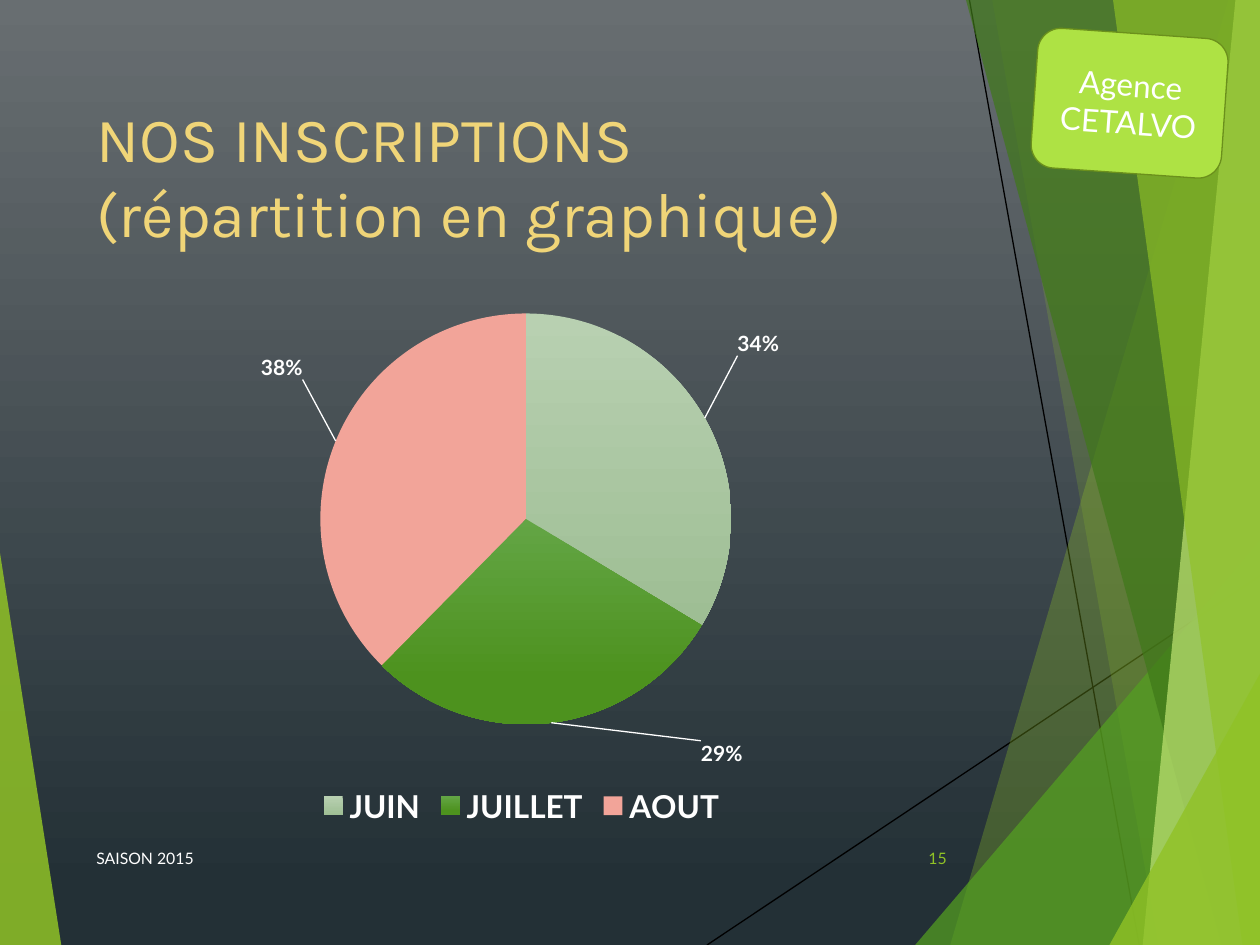
from copy import deepcopy

from lxml.etree import SubElement
from pptx import Presentation
from pptx.chart.data import CategoryChartData
from pptx.dml.color import RGBColor
from pptx.enum.chart import XL_CHART_TYPE as ChartType
from pptx.enum.chart import XL_LABEL_POSITION as LabelPos
from pptx.enum.chart import XL_LEGEND_POSITION as LegendPos
from pptx.enum.shapes import MSO_CONNECTOR as Connector
from pptx.enum.shapes import MSO_SHAPE as Shape
from pptx.enum.text import MSO_ANCHOR as Anchor
from pptx.enum.text import PP_ALIGN as Align
from pptx.oxml import parse_xml
from pptx.oxml.ns import nsdecls, qn
from pptx.util import Pt

COLORS = {
    "sky": "686E71", "night": "233036", "white": "FFFFFF", "black": "000000",
    "gold": "F0D578", "lime": "90C226", "green": "54A021", "forest": "3F7819",
    "pale": "C0E474", "badge": "AEE244", "edge": "6B901C",
    "sage": "B8D0B1", "sage_dark": "9EBE94",
    "leaf": "63A545", "leaf_dark": "4D921E", "salmon": "F2A499",
}
WIDTH, HEIGHT = 720, 540


def color(name):
    return RGBColor.from_string(COLORS[name])


def set_gradient(fill, start, end, end_at=1.0):
    """Vertical gradient, from top to bottom."""
    fill.gradient()
    fill.gradient_angle = 270
    for stop, name, place in zip(fill.gradient_stops, (start, end), (0, end_at)):
        stop.color.rgb = color(name)
        stop.position = place


def write(frame, text, font="Lato", size=9, ink="white", align=Align.LEFT,
          anchor=Anchor.MIDDLE):
    frame.word_wrap = True
    frame.vertical_anchor = anchor
    para = frame.paragraphs[0]
    para.alignment = align
    span = para.add_run()
    span.text = text
    set_font(span.font, size, ink, font)


def set_font(style, size, ink="white", name="Lato", bold=False):
    style.name, style.size, style.bold = name, Pt(size), bold
    style.color.rgb = color(ink)


class PageBuilder:
    def __init__(self, page):
        self.page = page
        self.shapes = page.shapes

    def background(self, start, end, end_at):
        set_gradient(self.page.background.fill, start, end, end_at)

    def facet(self, points, fill, opacity):
        builder = self.shapes.build_freeform(*points[0], scale=Pt(1))
        builder.add_line_segments(points[1:], close=True)
        shape = builder.convert_to_shape()
        shape.shadow.inherit = False
        shape.line.fill.background()
        shape.fill.solid()
        shape.fill.fore_color.rgb = color(fill)
        tint = next(shape._element.spPr.iter(qn("a:srgbClr")))
        SubElement(tint, qn("a:alpha")).set("val", str(opacity * 1000))

    def line(self, start, end):
        line = self.shapes.add_connector(
            Connector.STRAIGHT, *(Pt(v) for v in start + end))
        line.line.color.rgb = color("black")
        line.line.width = Pt(0.75)
        SubElement(line._element.spPr, qn("a:effectLst"))

    def badge(self, text, box, rotation):
        shape = self.shapes.add_shape(Shape.ROUNDED_RECTANGLE, *map(Pt, box))
        shape.rotation = rotation
        shape.shadow.inherit = False
        shape.fill.solid()
        shape.fill.fore_color.rgb = color("badge")
        shape.line.color.rgb = color("edge")
        shape.line.width = Pt(0.75)
        write(shape.text_frame, text, size=18, align=Align.CENTER)

    def title(self, text, box):
        title = self.shapes.title
        title.left, title.top, title.width, title.height = map(Pt, box)
        write(title.text_frame, text, font="Karla", size=36, ink="gold")

    def text(self, text, box, **style):
        write(self.shapes.add_textbox(*map(Pt, box)).text_frame, text, **style)

    def pie(self, values, box, fills, plot_area, label_shifts):
        data = CategoryChartData()
        data.categories = list(values)
        data.add_series("Inscriptions", values.values())
        chart = self.shapes.add_chart(ChartType.PIE, *map(Pt, box), data).chart
        set_font(chart.font, 10)
        chart.has_title = False
        chart.has_legend = True
        chart.legend.position = LegendPos.BOTTOM
        chart.legend.include_in_layout = False
        set_font(chart.legend.font, 18, bold=True)
        plot = chart.plots[0]
        plot.vary_by_categories = True
        series = plot.series[0]

        # Slices
        for index, names in enumerate(fills):
            look = series.points[index].format
            look.line.fill.background()
            if len(names) > 1:
                set_gradient(look.fill, *names)
            else:
                look.fill.solid()
                look.fill.fore_color.rgb = color(names[0])

        # Plot area
        area = chart._chartSpace.chart.plotArea
        for old in area.findall(qn("c:layout")):
            area.remove(old)
        area.insert(0, self.layout(plot_area, inner=True))

        # Percent labels, pulled away from the slices on leader lines
        labels = series.data_labels
        labels.show_percentage, labels.show_value = True, False
        labels.position = LabelPos.OUTSIDE_END
        set_font(labels.font, 12, bold=True)
        group = labels._element
        shared = [deepcopy(group.find(qn(tag))) for tag in (
            "c:txPr", "c:dLblPos", "c:showLegendKey", "c:showVal",
            "c:showCatName", "c:showSerName", "c:showPercent")]
        for index, shift in enumerate(label_shifts):
            label = parse_xml(f'<c:dLbl {nsdecls("c")}><c:idx val="{index}"/></c:dLbl>')
            label.append(self.layout(shift))
            label.extend(deepcopy(part) for part in shared if part is not None)
            SubElement(label, qn("c:showBubbleSize")).set("val", "0")
            group.insert(index, label)
        for old in group.findall(qn("c:showLeaderLines")):
            group.remove(old)
        SubElement(group, qn("c:showLeaderLines")).set("val", "1")
        group.append(parse_xml(
            f'<c:leaderLines {nsdecls("c", "a")}><c:spPr><a:ln w="9525"><a:solidFill>'
            f'<a:srgbClr val="{COLORS["white"]}"/></a:solidFill></a:ln></c:spPr>'
            '</c:leaderLines>'))

    @staticmethod
    def layout(values, inner=False):
        layout = parse_xml(f'<c:layout {nsdecls("c")}><c:manualLayout/></c:layout>')
        manual = layout[0]
        settings = [("layoutTarget", "inner"), ("xMode", "edge"),
                    ("yMode", "edge")] if inner else []
        for tag, value in settings + list(zip("xywh", values)):
            SubElement(manual, qn(f"c:{tag}")).set("val", str(value))
        return layout


def main():
    deck = Presentation()
    deck.slide_width, deck.slide_height = Pt(WIDTH), Pt(HEIGHT)
    builder = PageBuilder(deck.slides.add_slide(deck.slide_layouts[5]))
    builder.background("sky", "night", 0.94)

    # Facets and crossing lines
    builder.facet([(0, 316), (35, HEIGHT), (0, HEIGHT)], "lime", 85)
    builder.line((404, HEIGHT), (WIDTH, 329))
    builder.line((554, 0), (651, HEIGHT))
    right_facets = [  # top x, top y, bottom x, fill, opacity
        (702, 0, 543, "lime", 30), (567, 0, 662, "lime", 20),
        (720, 309, 523, "green", 72), (552, 0, 698, "forest", 70),
        (706, 0, 653, "pale", 70), (636, 0, 710, "lime", 65),
        (720, 385, 634, "lime", 80),
    ]
    for top_x, top_y, bottom_x, fill, opacity in right_facets:
        corners = [(top_x, top_y), (bottom_x, HEIGHT), (WIDTH, HEIGHT), (WIDTH, top_y)]
        builder.facet(corners, fill, opacity)

    # Badge and title
    builder.badge("Agence CETALVO", (591, 19, 109, 80), 4)
    builder.title("NOS INSCRIPTIONS (répartition en graphique)", (48, 48, 500, 104))

    # Registrations by month
    builder.pie({"JUIN": 34, "JUILLET": 29, "AOUT": 38}, (48, 170, 500, 305),
                [("sage", "sage_dark"), ("leaf", "leaf_dark", 0.78), ("salmon",)],
                (0.27, 0.03, 0.47, 0.77),
                [(0.03, -0.11), (0.17, 0.02), (-0.03, -0.11)])

    # Footer
    builder.text("15", (508, 476, 40, 29), ink="lime", align=Align.RIGHT)
    builder.text("SAISON 2015", (48, 476, 364, 29))
    deck.save("out.pptx")


if __name__ == "__main__":
    main()
